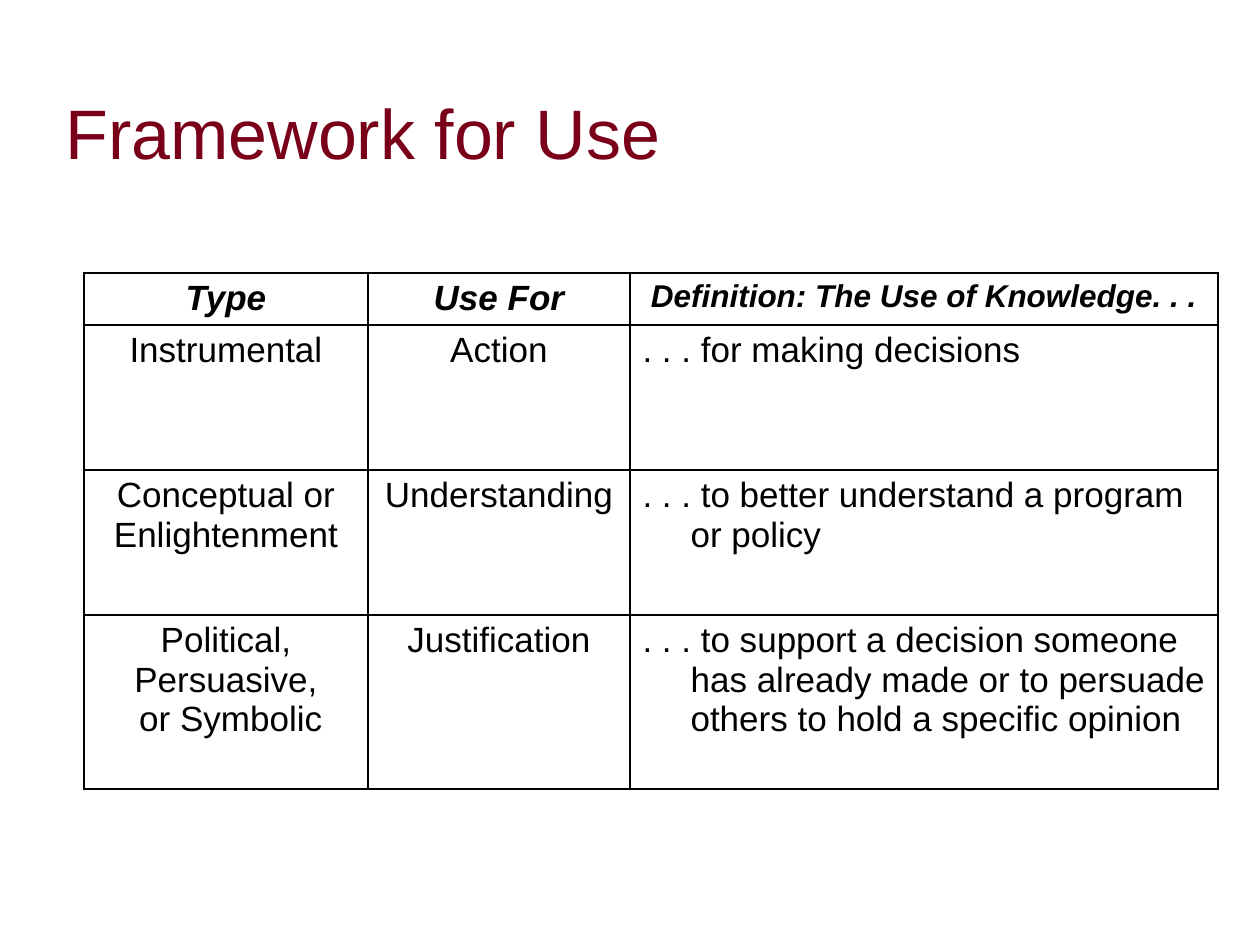
from lxml.etree import SubElement
from pptx import Presentation
from pptx.dml.color import RGBColor
from pptx.enum.text import MSO_ANCHOR, PP_ALIGN
from pptx.oxml.ns import qn
from pptx.util import Emu, Pt

PX_PER_INCH = 126
FONT = "Arial"
MAROON = RGBColor(0x7A, 0x00, 0x19)
BLACK = RGBColor(0x00, 0x00, 0x00)

COLUMN_WIDTHS = [284, 262, 588]
ROW_HEIGHTS = [52, 145, 145, 174]
HANGING_INDENT = 48

HEADINGS = [("Type", 20), ("Use For", 20), ("Definition: The Use of Knowledge. . .", 18)]
USES = [
    (["Instrumental"], "Action", ". . . for making decisions"),
    (["Conceptual or", "Enlightenment"], "Understanding",
     ". . . to better understand a program or policy"),
    (["Political,", "Persuasive,", " or Symbolic"], "Justification",
     ". . . to support a decision someone has already made "
     "or to persuade others to hold a specific opinion"),
]


def px(length):
    return Emu(round(length * 914400 / PX_PER_INCH))


def add_run(paragraph, text, size, color, emphasis=False):
    run = paragraph.add_run()
    run.text = text
    font = run.font
    font.name, font.size = FONT, Pt(size)
    font.bold = font.italic = emphasis
    font.color.rgb = color


def add_title(slide, text):
    title = slide.shapes.title
    title.left, title.top, title.width, title.height = map(px, (53, 53, 1176, 158))
    frame = title.text_frame
    frame.word_wrap = True
    frame.vertical_anchor = MSO_ANCHOR.MIDDLE
    heading = frame.paragraphs[0]
    heading.alignment = PP_ALIGN.LEFT
    add_run(heading, text, 40, MAROON)


def add_borders(cell):
    properties = cell._tc.get_or_add_tcPr()
    for side in ("a:lnL", "a:lnR", "a:lnT", "a:lnB"):
        border = SubElement(properties, qn(side), w=str(Pt(1)))
        fill = SubElement(border, qn("a:solidFill"))
        SubElement(fill, qn("a:srgbClr"), val=str(BLACK))


def fill_cell(cell, lines, size=20, alignment=PP_ALIGN.CENTER, emphasis=False):
    add_borders(cell)
    cell.fill.background()
    cell.vertical_anchor = MSO_ANCHOR.TOP
    frame = cell.text_frame
    for index, line in enumerate(lines):
        paragraph = frame.add_paragraph() if index else frame.paragraphs[0]
        paragraph.alignment = alignment
        indents = paragraph._p.get_or_add_pPr()
        indents.set("marL", str(px(HANGING_INDENT)))
        indents.set("indent", str(-px(HANGING_INDENT)))
        add_run(paragraph, line, size, BLACK, emphasis)


def add_framework_table(slide):
    table = slide.shapes.add_table(
        len(ROW_HEIGHTS), len(COLUMN_WIDTHS), px(84), px(273),
        px(sum(COLUMN_WIDTHS)), px(sum(ROW_HEIGHTS))).table
    table.first_row = table.horz_banding = False
    for column, width in zip(table.columns, COLUMN_WIDTHS):
        column.width = px(width)
    for row, height in zip(table.rows, ROW_HEIGHTS):
        row.height = px(height)
    for column, (heading, size) in enumerate(HEADINGS):
        fill_cell(table.cell(0, column), [heading], size, emphasis=True)
    for row, (kind, purpose, definition) in enumerate(USES, start=1):
        fill_cell(table.cell(row, 0), kind)
        fill_cell(table.cell(row, 1), [purpose])
        fill_cell(table.cell(row, 2), [definition], alignment=PP_ALIGN.LEFT)


def main():
    presentation = Presentation()
    presentation.slide_width, presentation.slide_height = px(1260), px(945)
    slide = presentation.slides.add_slide(presentation.slide_layouts[5])
    add_title(slide, "Framework for Use")
    add_framework_table(slide)
    presentation.save("out.pptx")


if __name__ == "__main__":
    main()
